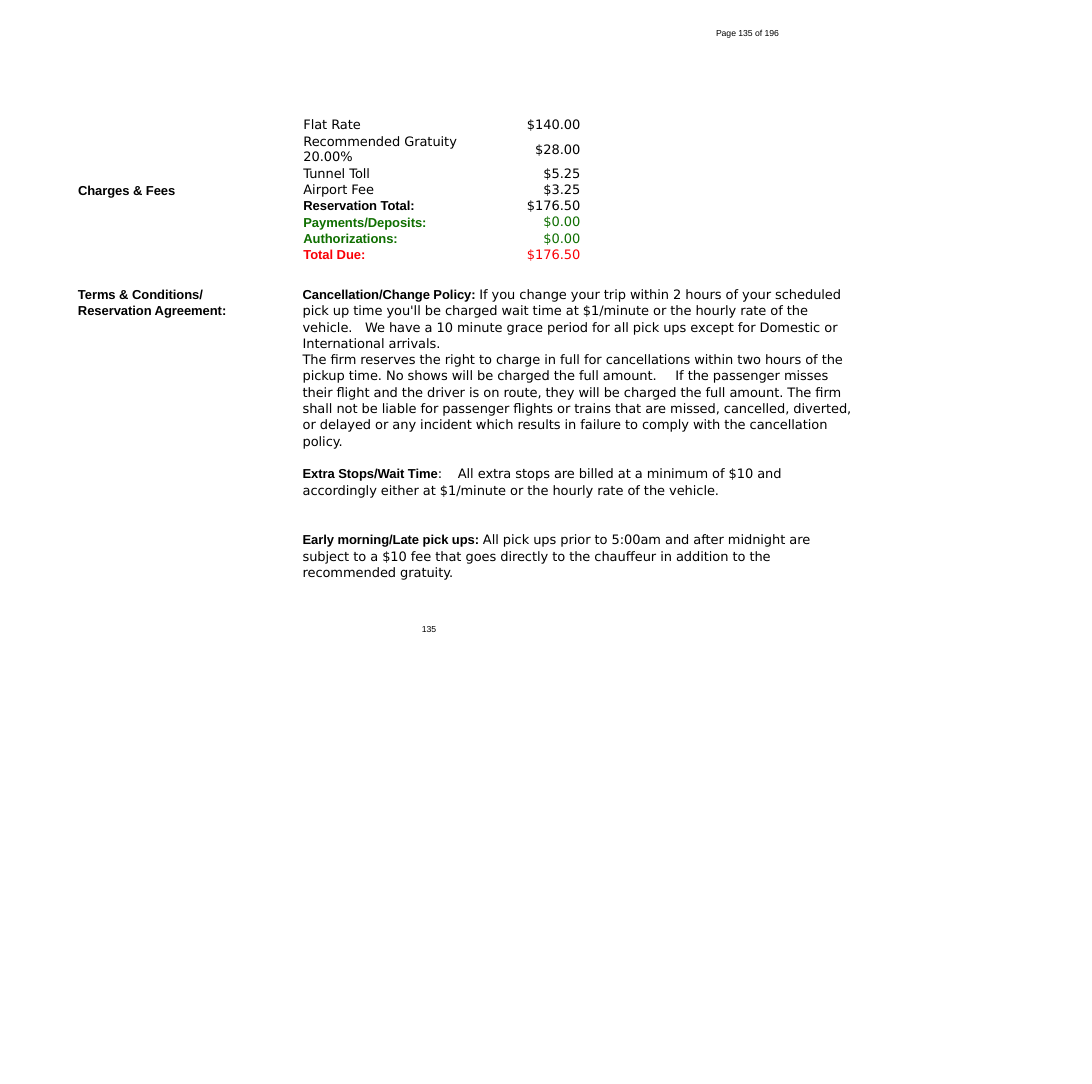
from lxml.etree import SubElement
from pptx import Presentation
from pptx.dml.color import RGBColor
from pptx.enum.text import MSO_ANCHOR, MSO_AUTO_SIZE, PP_ALIGN
from pptx.oxml.ns import qn
from pptx.util import Inches, Pt

COLORS = {"text": "000000", "paid": "0F6F00", "due": "FA0006"}
HEADING, BODY = "Arial", "DejaVu Sans"

deck = Presentation()
deck.slide_width, deck.slide_height = Inches(14), Inches(13.9)
column, row = deck.slide_width / 140, deck.slide_height / 139
page = deck.slides.add_slide(deck.slide_layouts[5])


def write(para, spans, layout, size=12, color="text", tab=None):
    for name, value in layout.items():
        setattr(para, name, value)
    if tab:
        tabs = SubElement(para._p.get_or_add_pPr(), qn("a:tabLst"))
        SubElement(tabs, qn("a:tab"), pos=str(Inches(tab)), algn="l")
    for text, bold in spans:
        span = para.add_run()
        span.text = text
        family = HEADING if bold or size < 12 else BODY
        for name, value in {"name": family, "size": Pt(size), "bold": bold}.items():
            setattr(span.font, name, value)
        span.font.color.rgb = RGBColor.from_string(COLORS[color])
        span._r.get_or_add_rPr().set("spc", "-5")


def place(box, left, top, width, height):
    box.left, box.width = int(left * column), int(width * column)
    box.top, box.height = int(top * row), int(height * row)
    frame = box.text_frame
    settings = {
        "margin_left": 0, "margin_right": 0, "margin_top": 0, "margin_bottom": 0,
        "word_wrap": True, "auto_size": MSO_AUTO_SIZE.NONE, "vertical_anchor": MSO_ANCHOR.TOP,
    }
    for name, value in settings.items():
        setattr(frame, name, value)
    return frame


title = place(page.shapes.title, 10, 23.4, 13, 2.3)
write(title.paragraphs[0], [("Charges & Fees", True)], {"alignment": PP_ALIGN.LEFT})

charges = [
    ("Flat Rate", "$140.00", False, "text", 2),
    ("Recommended Gratuity 20.00%", "$28.00", False, "text", 4.2),
    ("Tunnel Toll", "$5.25", False, "text", 2),
    ("Airport Fee", "$3.25", False, "text", 2.1),
    ("Reservation Total:", "$176.50", True, "text", 2.1),
    ("Payments/Deposits:", "$0.00", True, "paid", 2.1),
    ("Authorizations:", "$0.00", True, "paid", 2.1),
    ("Total Due:", "$176.50", True, "due", 2),
]
table_height = sum(charge[-1] for charge in charges)
table = page.shapes.add_table(
    len(charges), 2, int(37.5 * column), int(15.1 * row), int(38.3 * column), int(table_height * row)
).table
table.first_row = table.horz_banding = False
for index, width in enumerate((25.5, 12.8)):
    table.columns[index].width = int(width * column)
for index, (label, amount, bold, color, height) in enumerate(charges):
    table.rows[index].height = int(height * row)
    sides = [(label, bold, PP_ALIGN.LEFT), (amount, False, PP_ALIGN.RIGHT)]
    for cell, (text, strong, alignment) in zip(table.rows[index].cells, sides):
        settings = {
            "margin_left": Inches(0.14), "margin_right": Inches(0.14),
            "margin_top": 0, "margin_bottom": 0, "vertical_anchor": MSO_ANCHOR.MIDDLE,
        }
        for name, value in settings.items():
            setattr(cell, name, value)
        cell.fill.background()
        layout = {"alignment": alignment, "line_spacing": Pt(13.8)}
        write(cell.text_frame.paragraphs[0], [(text, strong)], layout, color=color)

policy = [
    (0, 0.8, [
        ("Cancellation/Change Policy: ", True),
        ("If you change your trip within 2 hours of your scheduled pick up time you'll be charged "
         "wait time at $1/minute or the hourly rate of the vehicle.\tWe have a 10 minute grace "
         "period for all pick ups except for Domestic or International arrivals.", False),
    ]),
    (0, 4.78, [
        ("The firm reserves the right to charge in full for cancellations within two hours of the "
         "pickup time. No shows will be charged the full amount.\tIf the passenger misses their "
         "flight and the driver is on route, they will be charged the full amount. The firm", False),
    ]),
]
details = [
    (0, None, [
        ("shall not be liable for passenger flights or trains that are missed, cancelled, diverted, "
         "or delayed or any incident which results in failure to comply with the cancellation "
         "policy.", False),
    ]),
    (15.3, 1.99, [
        ("Extra Stops/Wait Time", True),
        (":\tAll extra stops are billed at a minimum of $10 and accordingly either at $1/minute "
         "or the hourly rate of the vehicle.", False),
    ]),
    (31, None, [
        ("Early morning/Late pick ups: ", True),
        ("All pick ups prior to 5:00am and after midnight are subject to a $10 fee that goes "
         "directly to the chauffeur in addition to the recommended gratuity.", False),
    ]),
]
terms = [(0, None, [("Terms & Conditions/ Reservation Agreement:", True)])]
page_number = [(0, None, [("135", False)])]
page_count = [(0, None, [("Page 135 of 196", False)])]

boxes = [
    (terms, 10, 36.7, 19.4, 4.3, 12, 1.04),
    (policy, 38.8, 36.7, 71, 14.7, 12, 1.04),
    (details, 38.8, 51.3, 71.2, 23, 12, 1.04),
    (page_number, 54.1, 80, 3, 1.5, 8, 1),
    (page_count, 91.8, 3.6, 9, 1.5, 8, 1),
]
for paragraphs, left, top, width, height, size, spacing in boxes:
    frame = place(page.shapes.add_textbox(0, 0, 0, 0), left, top, width, height)
    for index, (gap, tab, spans) in enumerate(paragraphs):
        para = frame.add_paragraph() if index else frame.paragraphs[0]
        layout = {"line_spacing": spacing, "space_before": Pt(gap)}
        write(para, spans, layout, size=size, tab=tab)

deck.save("out.pptx")
